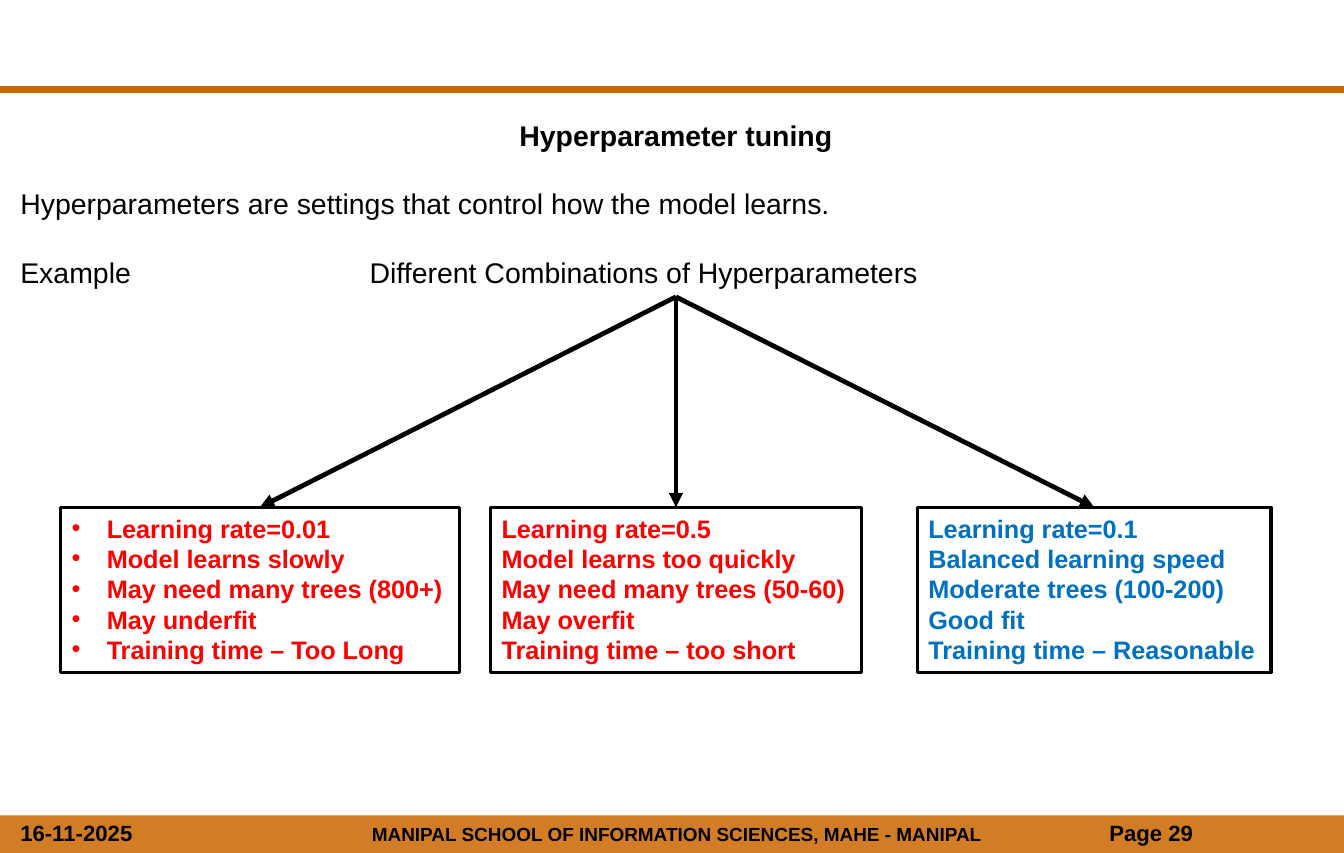
from dataclasses import dataclass

from lxml import etree
from pptx import Presentation
from pptx.dml.color import RGBColor
from pptx.enum.shapes import MSO_CONNECTOR, MSO_SHAPE
from pptx.enum.text import MSO_ANCHOR, PP_ALIGN
from pptx.oxml.ns import qn
from pptx.util import Cm, Emu, Pt

STRAIGHT = MSO_CONNECTOR.STRAIGHT
RECT = MSO_SHAPE.RECTANGLE
TOP = MSO_ANCHOR.TOP
LEFT, CENTER = PP_ALIGN.LEFT, PP_ALIGN.CENTER
TOP_SIDE, BOTTOM_SIDE = 0, 2
PX = 9144  # 100 px to the inch
SLIDE_WIDTH = Cm(30)
LEADING = 1.2


@dataclass(frozen=True)
class Theme:
    font: str = "Arial"
    black: str = "000000"
    white: str = "FFFFFF"
    orange: str = "CC6600"
    red: str = "FF0000"
    blue: str = "0070C0"
    body: int = 18
    box: int = 16
    footer: int = 14
    school: int = 12


THEME = Theme()


@dataclass(frozen=True)
class Setting:
    left: int
    width: int
    color: str
    lines: tuple[str, ...]
    bullets: bool = False


@dataclass(frozen=True)
class Footer:
    left: int
    top: int
    width: int
    height: int
    text: str
    size: int = THEME.footer
    align: PP_ALIGN = LEFT


SETTINGS = (
    Setting(53, 351, THEME.red, (
        "Learning rate=0.01", "Model learns slowly", "May need many trees (800+)",
        "May underfit", "Training time – Too Long"), bullets=True),
    Setting(431, 326, THEME.red, (
        "Learning rate=0.5", "Model learns too quickly", "May need many trees (50-60)",
        "May overfit", "Training time – too short")),
    Setting(806, 311, THEME.blue, (
        "Learning rate=0.1", "Balanced learning speed", "Moderate trees (100-200)",
        "Good fit", "Training time – Reasonable")),
)
FOOTERS = (
    Footer(285, 718, 620, 31, "MANIPAL SCHOOL OF INFORMATION SCIENCES, MAHE - MANIPAL",
           THEME.school, CENTER),
    Footer(8, 716, 133, 34, "16-11-2025"),
    Footer(965, 716, 215, 34, "Page 29"),
)


def px(n: int) -> Emu:
    return Emu(n * PX)


def rgb(color: str) -> RGBColor:
    return RGBColor.from_string(color)


def add_text(tf, text: str, *, size: int, color: str = THEME.black, bold: bool = False,
             align: PP_ALIGN = LEFT, leading: float | None = None, before: float = 0,
             bullet: bool = False, tab: int | None = None) -> None:
    """Add a paragraph, using the frame's first one while it is empty."""
    p = tf.paragraphs[0] if not tf.text else tf.add_paragraph()
    pPr = p._p.get_or_add_pPr()
    if bullet:
        pPr.set("marL", str(px(31)))
        pPr.set("indent", str(px(-31)))
        etree.SubElement(pPr, qn("a:buFont"), typeface=THEME.font)
        etree.SubElement(pPr, qn("a:buChar"), char="•")
    if tab:
        tabs = etree.SubElement(pPr, qn("a:tabLst"))
        etree.SubElement(tabs, qn("a:tab"), pos=str(px(tab)), algn="l")
    p.alignment = align
    if leading:
        p.line_spacing = Pt(size * leading)
    if before:
        p.space_before = Pt(before)
    r = p.add_run()
    r.text = text
    r.font.name = THEME.font
    r.font.size = Pt(size)
    r.font.bold = bold
    r.font.color.rgb = rgb(color)


def add_textbox(s, left: int, top: int, width: int, height: int):
    sp = s.shapes.add_textbox(px(left), px(top), px(width), px(height))
    sp.text_frame.word_wrap = True
    return sp


def add_rect(s, left: int, top: int, width: int, height: int, fill: str):
    sp = s.shapes.add_shape(RECT, px(left), px(top), px(width), px(height))
    sp.shadow.inherit = False
    sp.fill.solid()
    sp.fill.fore_color.rgb = rgb(fill)
    sp.line.fill.background()
    return sp


def add_line(s, x1: int, y1: int, x2: int, y2: int, color: str, weight: float):
    line = s.shapes.add_connector(STRAIGHT, px(x1), px(y1), px(x2), px(y2))
    line.line.color.rgb = rgb(color)
    line.line.width = Pt(weight)
    etree.SubElement(line._element.spPr, qn("a:effectLst"))
    return line


def add_frame(s) -> None:
    """Draw the header rule and the footer band."""
    rule = add_line(s, 0, 79, 1184, 79, THEME.orange, 4.5)
    rule.end_x = SLIDE_WIDTH
    band = add_rect(s, 0, 717, 1181, 33, THEME.orange)
    band.width = SLIDE_WIDTH
    color = band._element.spPr.find(f"{qn('a:solidFill')}/{qn('a:srgbClr')}")
    etree.SubElement(color, qn("a:alpha"), val="85000")
    for f in FOOTERS:
        sp = add_textbox(s, f.left, f.top, f.width, f.height)
        add_text(sp.text_frame, f.text, size=f.size, bold=True, align=f.align)


def add_body(s):
    sp = add_textbox(s, 8, 99, 1172, 162)
    tf = sp.text_frame
    gap = THEME.body * LEADING
    add_text(tf, "Hyperparameter tuning", size=THEME.body, bold=True, align=CENTER,
             leading=LEADING)
    add_text(tf, "Hyperparameters are settings that control how the model learns.",
             size=THEME.body, leading=LEADING, before=gap)
    add_text(tf, "Example\tDifferent Combinations of Hyperparameters",
             size=THEME.body, leading=LEADING, before=gap, tab=307)
    return sp


def add_setting(s, setting: Setting):
    sp = add_rect(s, setting.left, 446, setting.width, 145, THEME.white)
    sp.line.color.rgb = rgb(THEME.black)
    sp.line.width = Pt(2)
    tf = sp.text_frame
    tf.word_wrap = True
    tf.vertical_anchor = TOP
    for text in setting.lines:
        add_text(tf, text, size=THEME.box, color=setting.color, bold=True,
                 leading=LEADING, bullet=setting.bullets)
    return sp


def add_arrow(s, source, target) -> None:
    arrow = add_line(s, 0, 0, 0, 0, THEME.black, 3)
    arrow.begin_connect(source, BOTTOM_SIDE)
    arrow.end_connect(target, TOP_SIDE)
    etree.SubElement(arrow.line._get_or_add_ln(), qn("a:tailEnd"), type="triangle")


def main() -> None:
    prs = Presentation()
    prs.slide_width, prs.slide_height = SLIDE_WIDTH, px(750)
    s = prs.slides.add_slide(prs.slide_layouts[6])
    add_frame(s)
    body = add_body(s)
    for setting in SETTINGS:
        add_arrow(s, body, add_setting(s, setting))
    prs.save("out.pptx")


if __name__ == "__main__":
    main()
